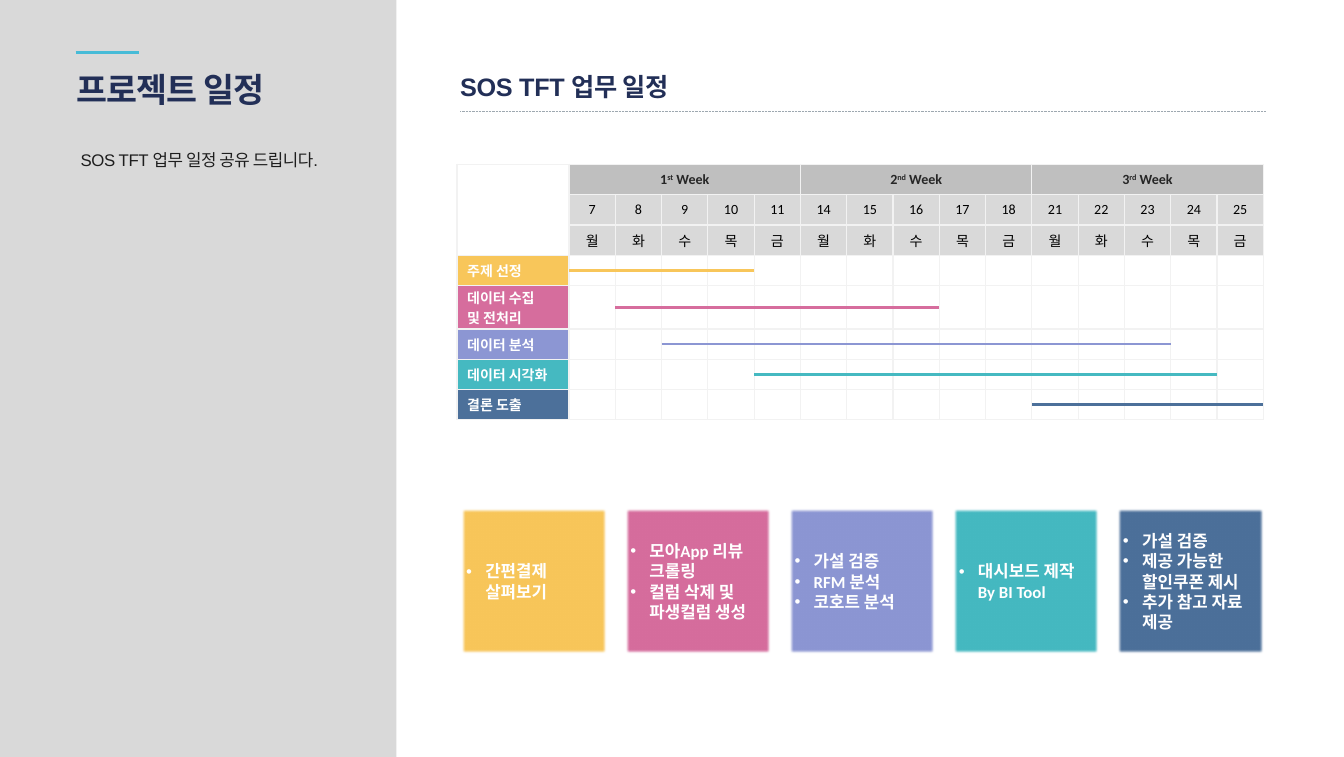
from lxml import etree
from pptx import Presentation
from pptx.dml.color import RGBColor
from pptx.enum.dml import MSO_LINE
from pptx.enum.shapes import MSO_CONNECTOR, MSO_SHAPE
from pptx.enum.text import MSO_ANCHOR, MSO_AUTO_SIZE, PP_ALIGN
from pptx.oxml.ns import qn
from pptx.util import Inches, Pt

STRAIGHT = MSO_CONNECTOR.STRAIGHT
RECT = MSO_SHAPE.RECTANGLE
DOTS = MSO_LINE.ROUND_DOT
TOP, MIDDLE = MSO_ANCHOR.TOP, MSO_ANCHOR.MIDDLE
LEFT, CENTER = PP_ALIGN.LEFT, PP_ALIGN.CENTER
FIXED = MSO_AUTO_SIZE.NONE

HUES = {
    "panel": "D9D9D9", "navy": "222F57", "ink": "1E1E1E", "accent": "47BBD7",
    "rule": "9EA8B0", "white": "FFFFFF", "black": "000000", "week": "BFBFBF",
    "head": "262626", "grid": "F2F2F2", "gold": "F8C65A", "pink": "D66D9D",
    "lilac": "8C96D3", "teal": "45B9C1", "blue": "4C709A",
}
KOREAN = "Noto Sans CJK KR"

# Task, hue, first and last day line, card points
TASKS = [
    ("주제 선정", "gold", 0, 4, ["간편결제 \v살펴보기"]),
    ("데이터 수집\n및 전처리", "pink", 1, 8,
     ["모아App 리뷰 크롤링", "컬럼 삭제 및 파생컬럼 생성"]),
    ("데이터 분석", "lilac", 2, 13, ["가설 검증", "RFM 분석", "코호트 분석"]),
    ("데이터 시각화", "teal", 4, 14, ["대시보드 제작 By BI Tool"]),
    ("결론 도출", "blue", 10, 15,
     ["가설 검증", "제공 가능한 할인쿠폰 제시", "추가 참고 자료 제공"]),
]
WEEKS = [("1", "st"), ("2", "nd"), ("3", "rd")]
DAYS = "월화수목금"
MONDAY = 7
COUNT = len(WEEKS) * len(DAYS)

GRID_X, GRID_Y, GRID_W, NAME_W = 4.53, 1.63, 7.99, 1.11
DAY_W = (GRID_W - NAME_W) / COUNT
ROWS = [0.3] * 4 + [0.43] + [0.3] * 3
HEADS = 3
CARD_X, CARD_Y, CARD, CARD_STEP = 4.56, 5.03, 1.46, 1.6275


def rgb(hue):
    return RGBColor.from_string(HUES[hue])


class Deck:
    def __init__(self, wide, high):
        self.file = Presentation()
        self.file.slide_width, self.file.slide_height = Inches(wide), Inches(high)
        self.slide = self.file.slides.add_slide(self.file.slide_layouts[5])
        self.items = self.slide.shapes

    def style(self, run, hue, size, bold=False, name="Calibri", track=0):
        look = {"name": name, "size": Pt(size), "bold": bold}
        for key, value in look.items():
            setattr(run.font, key, value)
        run.font.color.rgb = rgb(hue)
        mark = run.font._element
        etree.SubElement(mark, qn("a:ea"), typeface=KOREAN)
        if track:
            mark.set("spc", str(round(track * 100)))

    def frame(self, body, inset=0, anchor=TOP):
        look = {"word_wrap": True, "auto_size": FIXED, "vertical_anchor": anchor,
                "margin_left": Inches(inset), "margin_right": Inches(inset),
                "margin_top": 0, "margin_bottom": 0}
        for key, value in look.items():
            setattr(body, key, value)

    def fill_text(self, shape, text, pitch, **look):
        self.frame(shape.text_frame)
        para = shape.text_frame.paragraphs[0]
        para.text, para.alignment, para.line_spacing = text, LEFT, Pt(pitch)
        self.style(para.runs[0], **look)

    def title(self, x, y, w, h, text, pitch, **look):
        """Place the title in front of everything drawn so far."""
        box = self.items.title
        box.left, box.top, box.width, box.height = map(Inches, (x, y, w, h))
        self.fill_text(box, text, pitch, **look)
        self.items._spTree.append(box._element)

    def text(self, x, y, w, h, text, pitch, **look):
        box = self.items.add_textbox(*map(Inches, (x, y, w, h)))
        self.fill_text(box, text, pitch, **look)

    def block(self, x, y, w, h, hue):
        shape = self.items.add_shape(RECT, *map(Inches, (x, y, w, h)))
        shape.shadow.inherit = False
        shape.fill.solid()
        shape.fill.fore_color.rgb = rgb(hue)
        shape.line.fill.background()
        return shape

    def card(self, x, y, side, hue, points):
        shape = self.block(x, y, side, side, hue)
        soft = shape._element.spPr.find(qn("a:effectLst"))
        etree.SubElement(soft, qn("a:softEdge"), rad="25400")
        body = shape.text_frame
        self.frame(body, 0.06, MIDDLE)
        for i, point in enumerate(points):
            para = body.add_paragraph() if i else body.paragraphs[0]
            para.text, para.alignment = point, LEFT
            props = para._p.get_or_add_pPr()
            props.set("marL", str(Inches(0.19)))
            props.set("indent", str(-Inches(0.19)))
            etree.SubElement(props, qn("a:buFont"), typeface="Arial")
            etree.SubElement(props, qn("a:buChar"), char="•")
            for run in para.runs:
                self.style(run, "white", 12, True)

    def line(self, x, y, end, hue, width, dash=None):
        line = self.items.add_connector(STRAIGHT, *map(Inches, (x, y, end, y)))
        line.line.color.rgb = rgb(hue)
        line.line.width = Pt(width)
        if dash:
            line.line.dash_style = dash
        etree.SubElement(line._element.spPr, qn("a:effectLst"))

    def cell(self, cell, hue, parts=(), ink="black", bold=False, align=CENTER):
        """Fill a cell; each part is a text and whether it is raised."""
        cell.fill.solid()
        cell.fill.fore_color.rgb = rgb(hue)
        side = Inches(0.1 if align == LEFT else 0.02)
        look = {"vertical_anchor": MIDDLE, "margin_left": side, "margin_right": side,
                "margin_top": Inches(0.01), "margin_bottom": Inches(0.01)}
        for key, value in look.items():
            setattr(cell, key, value)
        for i, edge in enumerate(("lnL", "lnR", "lnT", "lnB")):
            line = etree.Element(qn("a:" + edge), w=str(Pt(1)))
            paint = etree.SubElement(line, qn("a:solidFill"))
            etree.SubElement(paint, qn("a:srgbClr"), val=HUES["grid"])
            cell._tc.tcPr.insert(i, line)
        para = cell.text_frame.paragraphs[0]
        if not parts:
            etree.SubElement(para._p, qn("a:endParaRPr"), sz="1000")
        for text, raised in parts:
            for i, row in enumerate(text.split("\n")):
                if i:
                    para = cell.text_frame.add_paragraph()
                para.alignment = align
                run = para.add_run()
                run.text = row
                self.style(run, ink, 10, bold)
                if raised:
                    run.font._element.set("baseline", "30000")

    def plan(self):
        size = map(Inches, (GRID_X, GRID_Y, GRID_W, sum(ROWS)))
        grid = self.items.add_table(len(ROWS), COUNT + 1, *size).table
        grid.first_row = grid.horz_banding = False
        for row, high in zip(grid.rows, ROWS):
            row.height = Inches(high)
        for i, col in enumerate(grid.columns):
            col.width = Inches(DAY_W if i else NAME_W)
        for i in range(HEADS):
            self.cell(grid.cell(i, 0), "white")
        grid.cell(0, 0).merge(grid.cell(HEADS - 1, 0))
        for i in range(COUNT):
            week, day = divmod(i, len(DAYS))
            number, suffix = WEEKS[week]
            parts = [] if day else [(number, False), (suffix, True), (" Week", False)]
            self.cell(grid.cell(0, i + 1), "week", parts, "head", True)
            date = str(MONDAY + 7 * week + day)
            self.cell(grid.cell(1, i + 1), "panel", [(date, False)])
            self.cell(grid.cell(2, i + 1), "panel", [(DAYS[day], False)])
        for col in range(1, COUNT, len(DAYS)):
            grid.cell(0, col).merge(grid.cell(0, col + len(DAYS) - 1))
        for row, (name, hue, *_) in enumerate(TASKS, HEADS):
            self.cell(grid.cell(row, 0), hue, [(name, False)], "white", True, LEFT)
            for col in range(1, COUNT + 1):
                self.cell(grid.cell(row, col), "white")


def main():
    deck = Deck(13.32, 7.5)
    deck.block(0, 0, 3.93, 7.5, "panel")
    deck.title(0.76, 0.64, 2.29, 0.43, "프로젝트 일정", 32,
               hue="navy", size=24, bold=True, name=KOREAN, track=-0.6)
    deck.text(0.8, 1.44, 2.87, 0.23, "SOS TFT 업무 일정 공유 드립니다.", 17.8,
              hue="ink", size=12, name="Arial", track=-0.3)
    deck.plan()
    left = GRID_X + NAME_W
    for i, (_, hue, start, end, points) in enumerate(TASKS):
        row = HEADS + i
        y = GRID_Y + sum(ROWS[:row]) + ROWS[row] / 2
        deck.line(left + start * DAY_W, y, left + end * DAY_W, hue, 1.75)
        deck.card(CARD_X + i * CARD_STEP, CARD_Y, CARD, hue, points)
    deck.line(0.75, 0.52, 1.38, "accent", 1.7)
    deck.text(4.56, 0.8, 2.96, 0.21, "SOS TFT 업무 일정", 14.8,
              hue="navy", size=18, bold=True, name="Arial", track=-0.2)
    deck.line(4.56, 1.1, 12.55, "rule", 0.5, DOTS)
    deck.file.save("out.pptx")


if __name__ == "__main__":
    main()
